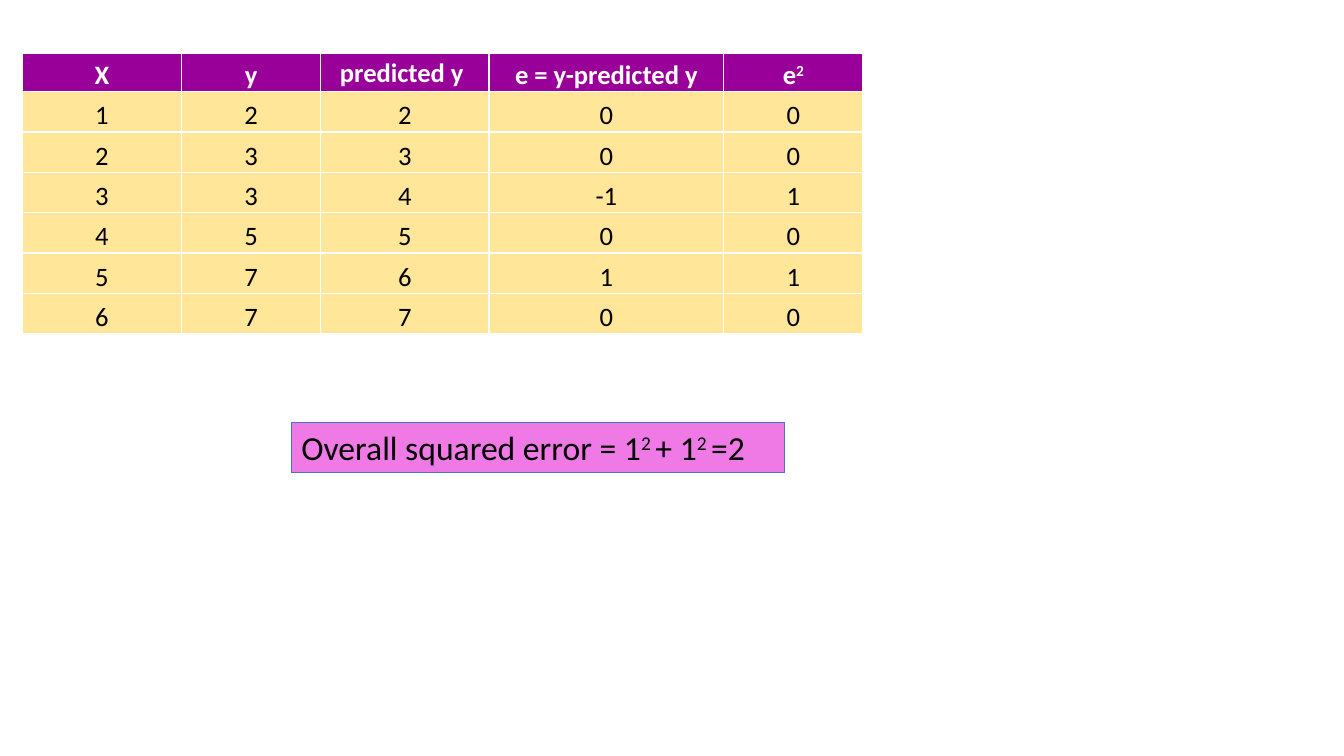
"""Build a slide with a table of squared prediction errors."""
from lxml import etree
from pptx import Presentation
from pptx.dml.color import RGBColor
from pptx.enum import text
from pptx.oxml import ns
from pptx.util import Inches, Pt

HUES = {"head": "990099", "body": "FFE699", "white": "FFFFFF",
        "black": "000000", "pink": "F07AE5", "blue": "4472C4"}
HEADS = ["X", "y", "predicted y ", "e = y-predicted y", "e^2"]
POINTS = [(1, 2, 2), (2, 3, 3), (3, 3, 4), (4, 5, 5), (5, 7, 6), (6, 7, 7)]
WIDTHS = [1.58, 1.38, 1.67, 2.33, 1.38]


def hue(name):
    return RGBColor.from_string(HUES[name])


def write(frame, parts, size, color, bold=False):
    """Write the parts as runs, raising every second one."""
    para = frame.paragraphs[0]
    for i, part in enumerate(parts):
        run = para.add_run()
        run.text = part
        run.font.name = "Calibri"
        run.font.size = Pt(size)
        run.font.bold = bold
        run.font.color.rgb = hue(color)
        if i % 2:
            run.font._element.set("baseline", "30000")
    return para


def edge(cell):
    """Draw thin white borders, placed ahead of the cell fill."""
    props = cell._tc.get_or_add_tcPr()
    for i, side in enumerate(["lnL", "lnR", "lnT", "lnB"]):
        line = etree.Element(ns.qn("a:" + side), w=str(Pt(1)))
        fill = etree.SubElement(line, ns.qn("a:solidFill"))
        etree.SubElement(fill, ns.qn("a:srgbClr"), val=HUES["white"])
        props.insert(i, line)


def style(cell, parts, head):
    cell.fill.solid()
    cell.fill.fore_color.rgb = hue("head" if head else "body")
    cell.margin_left = cell.margin_right = cell.margin_top = Inches(0.01)
    cell.margin_bottom = 0
    cell.vertical_anchor = text.MSO_ANCHOR.BOTTOM
    para = write(cell.text_frame, parts, 19, "white" if head else "black", head)
    para.alignment = text.PP_ALIGN.CENTER
    edge(cell)


def add_grid(slide):
    """Add the table, working out each error and its square."""
    rows = [HEADS] + [[x, y, p, y - p, (y - p) ** 2] for x, y, p in POINTS]
    grid = slide.shapes.add_table(len(rows), len(HEADS), Inches(0.22), Inches(0.53),
                                  Inches(sum(WIDTHS)), Inches(2.78)).table
    for col, width in zip(grid.columns, WIDTHS):
        col.width = Inches(width)
    for r, row in enumerate(rows):
        grid.rows[r].height = Inches(0.4 if r else 0.38)
        for c, value in enumerate(row):
            style(grid.cell(r, c), str(value).split("^"), r == 0)
    grid.cell(0, 2).vertical_anchor = text.MSO_ANCHOR.MIDDLE


def add_sum(slide):
    box = slide.shapes.add_textbox(Inches(2.89), Inches(4.19), Inches(4.89), Inches(0.5))
    box.fill.solid()
    box.fill.fore_color.rgb = hue("pink")
    box.line.color.rgb = hue("blue")
    box.line.width = Pt(0.75)
    box.text_frame.word_wrap = True
    box.text_frame.auto_size = text.MSO_AUTO_SIZE.SHAPE_TO_FIT_TEXT
    write(box.text_frame, ["Overall squared error = 1", "2 ", "+ 1", "2 ", "=2"], 24, "black")


def main():
    deck = Presentation()
    deck.slide_width = Inches(13.33)
    deck.slide_height = Inches(7.5)
    slide = deck.slides.add_slide(deck.slide_layouts[6])
    add_grid(slide)
    add_sum(slide)
    deck.save("out.pptx")


if __name__ == "__main__":
    main()
